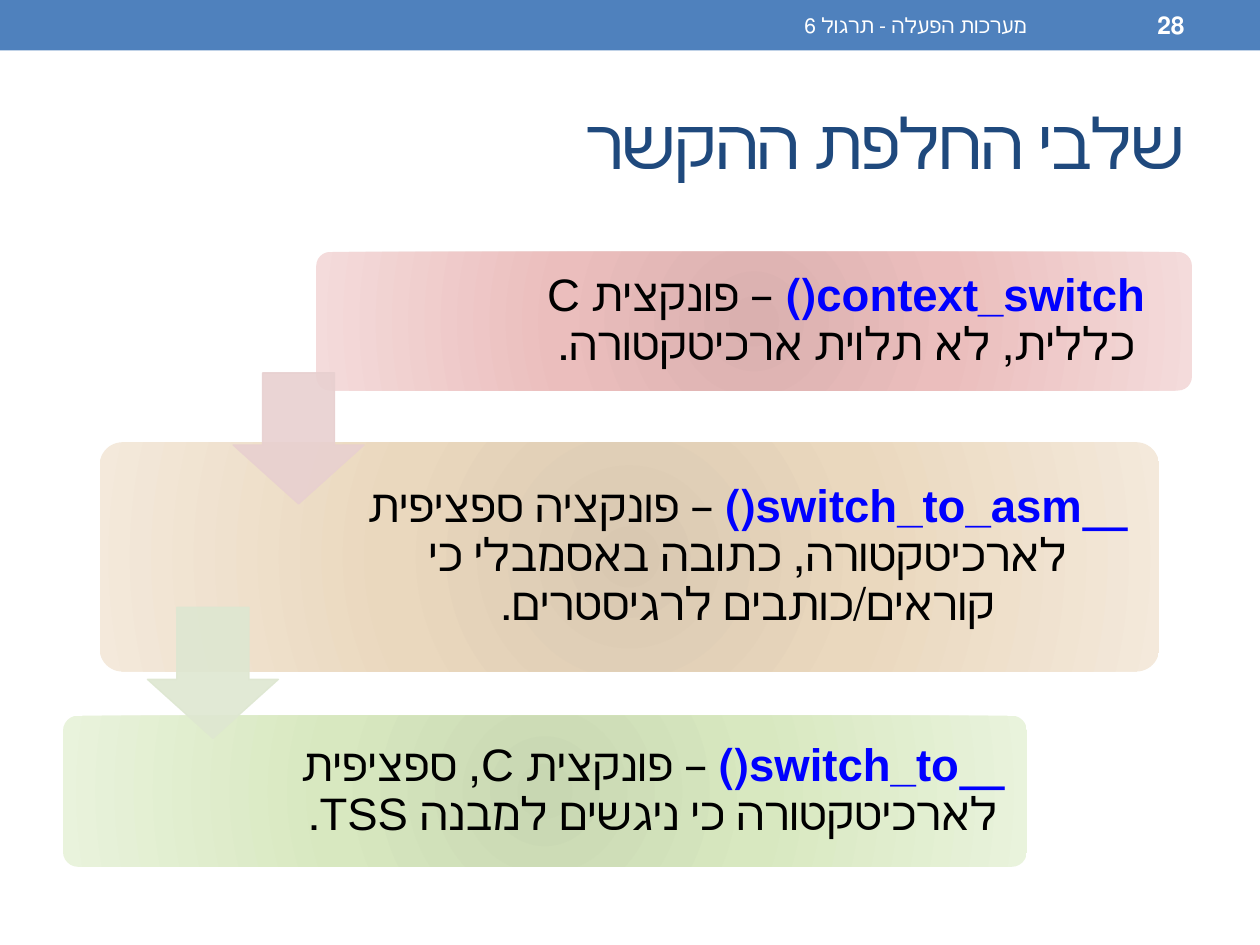
"""Build a slide on the three stages of a context switch."""
import pptx
import pptx.dml.color
import pptx.enum.shapes
import pptx.enum.text
import pptx.oxml
import pptx.oxml.ns
import pptx.util
import lxml.etree

COLORS = {
    "bar": "4F81BD", "title": "1F497D", "white": "FFFFFF", "code": "0000FF", "body": "000000",
    "red": ("DAB0AF", "EBBEBD", "F4DBDB"),
    "sand": ("D9C8B1", "EAD8BE", "F4E9DB"),
    "green": ("C8D7B2", "D8E8C0", "E9F3DC"),
    "red arrow": "E8D0D0", "green arrow": "DEE7D1",
}
COLUMNS, ROWS = 100, 75

deck = pptx.Presentation()
deck.slide_width = pptx.util.Inches(10)
deck.slide_height = pptx.util.Inches(7.5)
column = deck.slide_width / COLUMNS
row = deck.slide_height / ROWS
slide = deck.slides.add_slide(deck.slide_layouts[6])
SHAPES = pptx.enum.shapes.MSO_SHAPE
ALIGN = pptx.enum.text.PP_ALIGN
qn = pptx.oxml.ns.qn


def add_panel(kind, left, top, width, height, color):
    panel = slide.shapes.add_shape(
        kind, int(left * column), int(top * row), int(width * column), int(height * row))
    panel.shadow.inherit = False
    panel.line.fill.background()
    panel.fill.solid()
    panel.fill.fore_color.rgb = pptx.dml.color.RGBColor.from_string(color)
    return panel


def add_words(left, top, width, height, runs, size, align=ALIGN.RIGHT, spacing=0):
    words = slide.shapes.add_textbox(
        int(left * column), int(top * row), int(width * column), int(height * row))
    frame = words.text_frame
    frame.word_wrap = True
    frame.vertical_anchor = pptx.enum.text.MSO_ANCHOR.MIDDLE
    paragraph = frame.paragraphs[0]
    paragraph.alignment = align
    paragraph._p.get_or_add_pPr().set("rtl", "1")
    for text, color, bold in runs:
        run = paragraph.add_run()
        run.text = text
        run.font.size = pptx.util.Pt(size)
        run.font.bold = bold
        run.font.name = "Arial"
        run.font.color.rgb = pptx.dml.color.RGBColor.from_string(COLORS[color])
        if spacing:
            run._r.get_or_add_rPr().set("spc", str(spacing))
    return frame


add_panel(SHAPES.RECTANGLE, 0, 0, COLUMNS, 4, COLORS["bar"])
add_words(5, 5.8, 90, 10.8, [("שלבי החלפת ההקשר", "title", False)], 40, spacing=-100)
add_words(37.5, 0.2, 45, 3.6, [("מערכות הפעלה - תרגול 6", "white", False)], 12)
add_words(83.3, 0.2, 11.7, 3.6, [("28", "white", True)], 14)

stages = [
    (25.1, 20, 69.5, 11, 54.2, "red",
     "context_switch() ", "– פונקצית C כללית, לא תלוית ארכיטקטורה."),
    (7.9, 35.1, 84.1, 18.2, 64.2, "sand",
     "__switch_to_asm()",
     " – פונקציה ספציפית לארכיטקטורה, כתובה באסמבלי כי קוראים/כותבים לרגיסטרים."),
    (5, 56.8, 76.5, 12, 58.6, "green",
     "__switch_to()", " – פונקצית C, ספציפית לארכיטקטורה כי ניגשים למבנה TSS."),
]
for left, top, width, height, text_width, tint, function, description in stages:
    card = add_panel(SHAPES.ROUNDED_RECTANGLE, left, top, width, height, COLORS[tint][0])
    card.adjustments[0] = 0.1
    card.fill.gradient()
    gradient = card._element.spPr.find(qn("a:gradFill"))
    for part in list(gradient):
        gradient.remove(part)
    stops = lxml.etree.SubElement(gradient, qn("a:gsLst"))
    for position, color in zip((0, 45, 100), COLORS[tint]):
        stop = lxml.etree.SubElement(stops, qn("a:gs"), pos=str(position * 1000))
        lxml.etree.SubElement(stop, qn("a:srgbClr"), val=color)
    circle = lxml.etree.SubElement(gradient, qn("a:path"), path="circle")
    lxml.etree.SubElement(
        circle, qn("a:fillToRect"), {side: "100000" for side in "ltrb"})

    inset = 0.03 * height
    frame = add_words(
        left + width - inset - text_width, top + inset, text_width, height - 2 * inset,
        [(function, "code", True), (description, "body", False)], 26, ALIGN.CENTER)
    frame.paragraphs[0].line_spacing = 0.9
    frame.margin_left = frame.margin_right = int(0.4 * column)
    frame.margin_top = frame.margin_bottom = int(1.1 * row)

for left, top, tint in [(18.5, 29.6, "red arrow"), (11.7, 48.2, "green arrow")]:
    arrow = add_panel(SHAPES.DOWN_ARROW, left, top, 10.4, 10.4, COLORS[tint])
    arrow.adjustments[0] = 0.55
    arrow.adjustments[1] = 0.45
    arrow.line.color.rgb = pptx.dml.color.RGBColor.from_string(COLORS[tint])
    arrow.line.width = pptx.util.Pt(0.75)
    for color in arrow._element.spPr.iter(qn("a:srgbClr")):
        lxml.etree.SubElement(color, qn("a:alpha"), val="90000")

deck.save("out.pptx")
